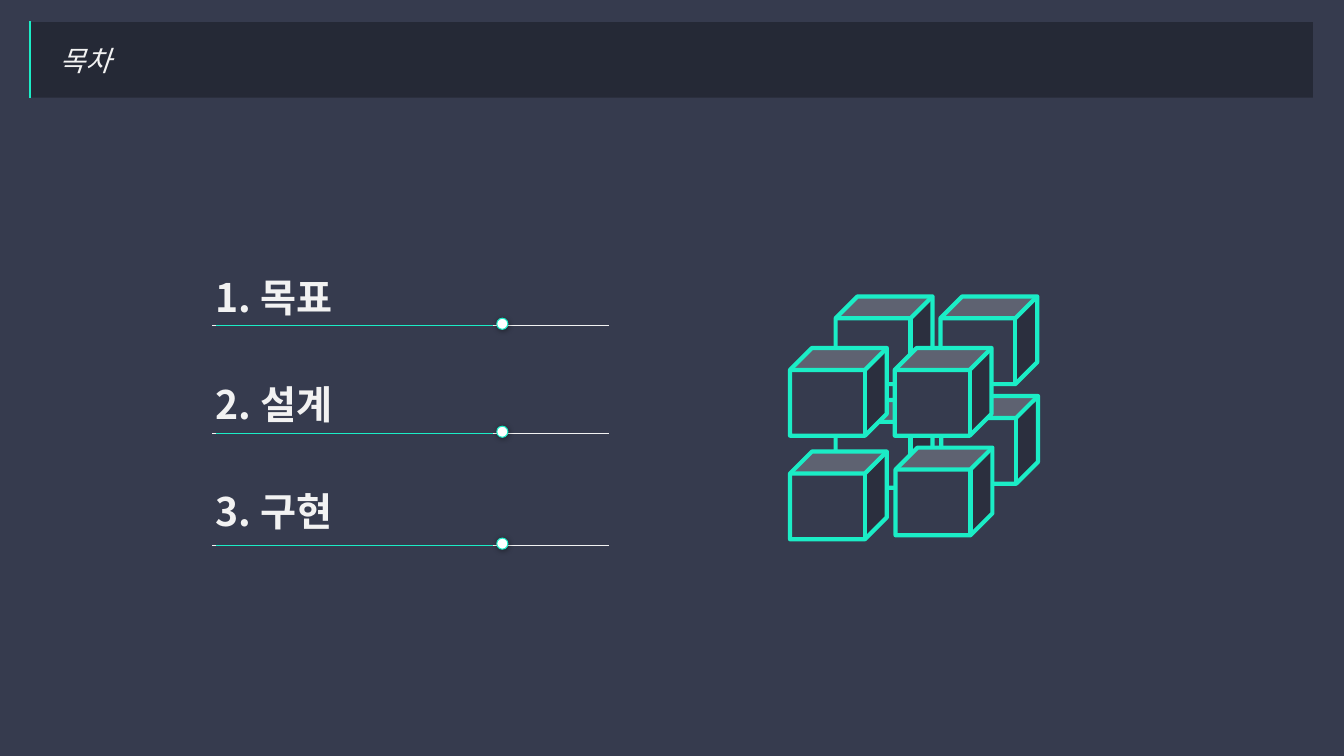
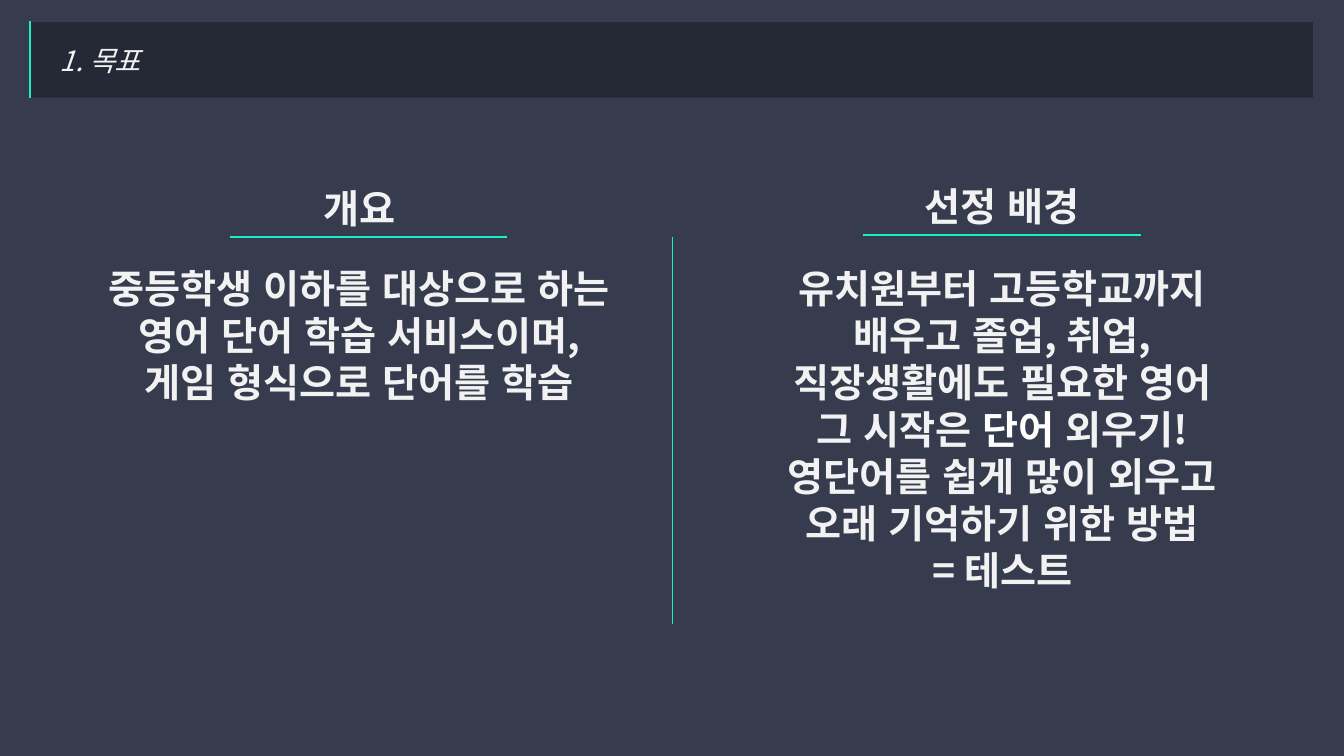
from lxml import etree
from pptx import Presentation
from pptx.dml.color import RGBColor
from pptx.enum.lang import MSO_LANGUAGE_ID
from pptx.enum.shapes import MSO_CONNECTOR, MSO_SHAPE
from pptx.enum.text import MSO_ANCHOR, MSO_AUTO_SIZE, PP_ALIGN
from pptx.oxml import parse_xml
from pptx.oxml.ns import nsdecls, qn
from pptx.util import Cm, Pt

COLORS = {"background": "363B4E", "band": "000000", "accent": "1BEDC6",
          "text": "F2F2F2", "white": "FFFFFF"}
RGB = {name: RGBColor.from_string(value) for name, value in COLORS.items()}
FONT = "Noto Sans CJK KR"
BASE = {"name": FONT, "language_id": MSO_LANGUAGE_ID.KOREAN}
TITLE = {**BASE, "size": Pt(20), "italic": True}
BODY = {**BASE, "size": Pt(28), "bold": True}


def write_text(frame, paragraphs, style, align):
    """Fill a text frame; words between bars are pure white."""
    frame.word_wrap = True
    for i, content in enumerate(paragraphs):
        paragraph = frame.paragraphs[0] if i == 0 else frame.add_paragraph()
        paragraph.alignment = align
        paragraph.line_spacing = Pt(style["size"].pt * 1.2)
        for j, piece in enumerate(content.split("|")):
            run = paragraph.add_run()
            run.text = piece
            for attribute, value in style.items():
                setattr(run.font, attribute, value)
            run.font.color.rgb = RGB["white" if j % 2 else "text"]
            east_asian = etree.SubElement(run.font._element, qn("a:ea"))
            east_asian.set("typeface", FONT)


def add_line(slide, x1, y1, x2, y2, color="accent", width=1):
    line = slide.shapes.add_connector(
        MSO_CONNECTOR.STRAIGHT, Cm(x1), Cm(y1), Cm(x2), Cm(y2))
    line.line.color.rgb = RGB[color]
    line.line.width = Pt(width)
    etree.SubElement(line._element.spPr, qn("a:effectLst"))


prs = Presentation()
prs.slide_width, prs.slide_height = Cm(33.87), Cm(19.05)
backdrop = prs.slide_master.background.fill
backdrop.solid()
backdrop.fore_color.rgb = RGB["background"]

# Slides with their title band
slides = []
for title in ("목차", "1. 목표"):
    slide = prs.slides.add_slide(prs.slide_layouts[6])
    band = slide.shapes.add_shape(
        MSO_SHAPE.RECTANGLE, Cm(0.76), Cm(0.56), Cm(32.33), Cm(1.9))
    band.shadow.inherit = False
    band.line.fill.background()
    band.fill.solid()
    band.fill.fore_color.rgb = RGB["band"]
    band_color = band._element.spPr.find(f".//{qn('a:srgbClr')}")
    etree.SubElement(band_color, qn("a:alpha")).set("val", "30000")
    band.text_frame.margin_left = Cm(0.74)
    band.text_frame.vertical_anchor = MSO_ANCHOR.MIDDLE
    write_text(band.text_frame, [title], TITLE, PP_ALIGN.LEFT)
    add_line(slide, 0.76, 2.46, 0.76, 0.53)
    slides.append(slide)
contents, goal = slides

# Contents: chapters, each with a track and a knob
chapters = [("1. 목표", 8.2), ("2. 설계", 10.92), ("3. 구현", 13.74)]
for i, (chapter, track_y) in enumerate(chapters):
    label = contents.shapes.add_textbox(
        Cm(4.78), Cm(6.76 + 2.7 * i), Cm(4.24), Cm(1.45))
    label.text_frame.auto_size = MSO_AUTO_SIZE.SHAPE_TO_FIT_TEXT
    write_text(label.text_frame, [chapter], BODY, PP_ALIGN.CENTER)
    add_line(contents, 15.34, track_y, 5.33, track_y, "text", 0.75)
    add_line(contents, 5.44, track_y, 12.42, track_y)
    knob = contents.shapes.add_shape(
        MSO_SHAPE.OVAL, Cm(12.52), Cm(track_y - 0.18), Cm(0.28), Cm(0.28))
    knob.fill.solid()
    knob.fill.fore_color.rgb = RGB["white"]
    knob.line.color.rgb = RGB["accent"]
    knob.line.width = Pt(0.75)
    knob.shadow.inherit = False
    knob._element.spPr.find(qn("a:effectLst")).append(parse_xml(
        f'<a:outerShdw {nsdecls("a")} blurRad="{Pt(4)}" dist="{Pt(1)}" '
        f'dir="2700000"><a:srgbClr val="{COLORS["band"]}">'
        '<a:alpha val="40000"/></a:srgbClr></a:outerShdw>'))

# Contents: back row of cubes, then the front row
back_row = [(21.06, 10.08), (21.06, 7.47), (23.7, 7.47), (23.72, 9.98)]
for shift_x, shift_y in ((0, 0), (-1.15, 1.3)):
    for x, y in back_row:
        cube = contents.shapes.add_shape(
            MSO_SHAPE.CUBE, Cm(x + shift_x), Cm(y + shift_y), Cm(2.44), Cm(2.21))
        cube.shadow.inherit = False
        cube.fill.solid()
        cube.fill.fore_color.rgb = RGB["background"]
        cube.line.color.rgb = RGB["accent"]
        cube.line.width = Pt(3)

# Goal: headings and body texts as (left, top, width, height, paragraphs)
goal_texts = [
    (2.26, 4.52, 13.59, 1.45, ["개요"]),
    (18.87, 4.47, 12.75, 1.45, ["선정 배경"]),
    (2.46, 6.53, 13.18, 5.05,
     ["중등학생 이하를 대상으로 하는 영어 단어 학습 서비스이며, "
      "게임 형식으로 단어를 학습"]),
    (18.67, 6.53, 13.18, 8.64,
     ["유치원부터 고등학교까지 배우고 졸업, 취업, 직장생활에도 필요한 영어",
      "그 시작은 |단어| 외우기!",
      "영단어를 쉽게 많이 외우고 오래 기억하기 위한 방법",
      "= 테스트"]),
]
for left, top, width, height, paragraphs in goal_texts:
    block = goal.shapes.add_textbox(Cm(left), Cm(top), Cm(width), Cm(height))
    block.text_frame.auto_size = MSO_AUTO_SIZE.SHAPE_TO_FIT_TEXT
    write_text(block.text_frame, paragraphs, BODY, PP_ALIGN.CENTER)

# Goal: heading underlines and the divider
add_line(goal, 5.79, 5.97, 12.78, 5.97)
add_line(goal, 16.94, 5.97, 16.94, 15.72)
add_line(goal, 21.74, 5.92, 28.75, 5.92)

prs.save("out.pptx")
